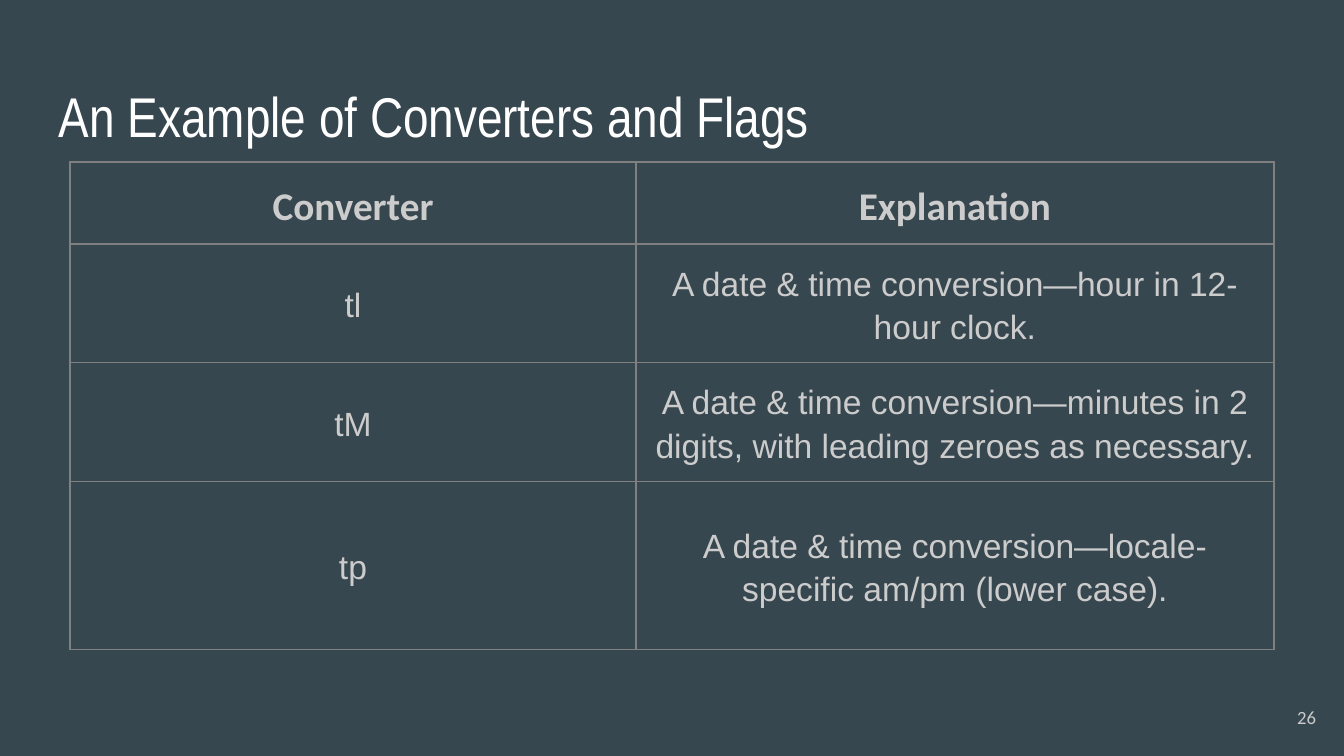
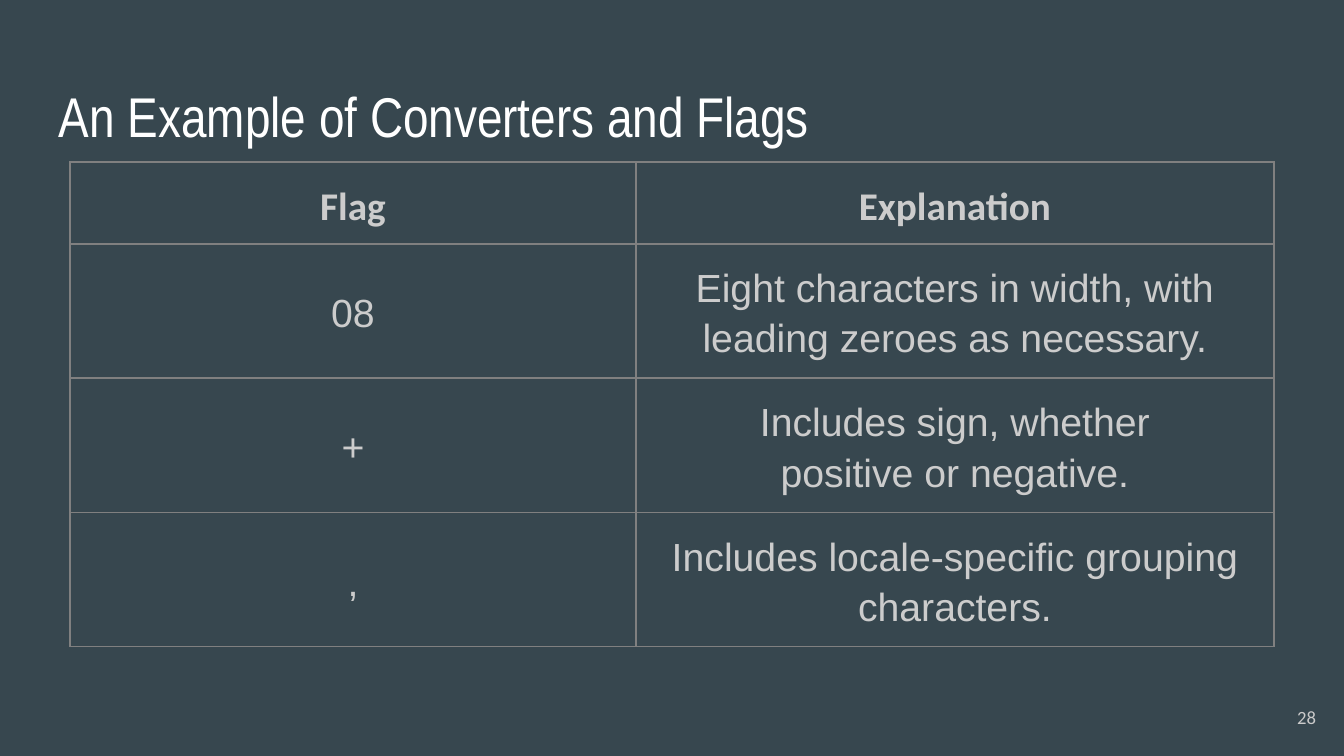
from pptx import Presentation
from pptx.dml.color import RGBColor as RGB
from pptx.enum.text import MSO_ANCHOR as Anchor, MSO_AUTO_SIZE as Auto, PP_ALIGN as Align
from pptx.oxml import parse_xml
from pptx.oxml.ns import nsdecls
from pptx.util import Pt

# Content
TITLE = "An Example of Converters and Flags"
SLIDES = [
    dict(page="26", size=18, heights=[82, 113, 113, 168], rows=[
        ("Converter", "Explanation"),
        ("tl", "A date & time conversion—hour in 12-hour clock."),
        ("tM", "A date & time conversion—minutes in 2 digits, "
               "with leading zeroes as necessary."),
        ("tp", "A date & time conversion—locale-specific am/pm (lower case)."),
    ]),
    dict(page="28", size=21, heights=[82, 127, 127, 127], rows=[
        ("Flag", "Explanation"),
        ("08", "Eight characters in width, with leading zeroes as necessary."),
        ("+", "Includes sign, whether\npositive or negative."),
        (",", "Includes locale-specific grouping characters."),
    ]),
]

# Shared look, lengths in px
WIDE, HIGH = 1344, 756
SCALE = 914400 / 134.4
INSET = 13
COLS = [566, 638]
BACK, WHITE, GREY, PALE, RULE = "37474F", "FFFFFF", "CCCCCC", "CACACA", "808080"


def px(n):
    return round(n * SCALE)


def paint(fill, color):
    fill.solid()
    fill.fore_color.rgb = RGB.from_string(color)


def write(frame, text, size, font, color, bold=False, align=Align.LEFT, space=1.0):
    frame.word_wrap = True
    frame.text = text
    for para in frame.paragraphs:
        para.alignment, para.line_spacing = align, space
        for run in para.runs:
            face = run.font
            face.size, face.name, face.bold = Pt(size), font, bold
            face.color.rgb = RGB.from_string(color)


def pad(item):
    item.margin_left = item.margin_right = px(INSET)
    item.margin_top = item.margin_bottom = px(INSET)


def rule(cell):
    props = cell._tc.get_or_add_tcPr()
    for i, side in enumerate(("lnL", "lnR", "lnT", "lnB")):
        props.insert(i, parse_xml(
            f'<a:{side} {nsdecls("a")} w="{Pt(0.75)}"><a:solidFill>'
            f'<a:srgbClr val="{RULE}"/></a:solidFill></a:{side}>'))


def add_title(slide):
    title = slide.shapes.title
    title.left, title.top, title.width, title.height = map(px, (46, 69, 1252, 84))
    frame = title.text_frame
    frame.auto_size, frame.vertical_anchor = Auto.NONE, Anchor.TOP
    pad(frame)
    write(frame, TITLE, 30, "Arial Narrow", WHITE)


def add_page(slide, page):
    frame = slide.shapes.add_textbox(*map(px, (1248, 688, 81, 58))).text_frame
    frame.vertical_anchor = Anchor.MIDDLE
    pad(frame)
    write(frame, page, 10, "Calibri", PALE, align=Align.RIGHT)


def add_grid(slide, rows, heights, size):
    spot = map(px, (70, 162, sum(COLS), sum(heights)))
    grid = slide.shapes.add_table(len(rows), len(COLS), *spot).table
    grid.horz_banding = grid.first_row = False
    for col, width in zip(grid.columns, COLS):
        col.width = px(width)
    for r, texts in enumerate(rows):
        grid.rows[r].height = px(heights[r])
        head = r == 0
        for c, text in enumerate(texts):
            cell = grid.cell(r, c)
            cell.fill.background()
            cell.vertical_anchor = Anchor.MIDDLE
            pad(cell)
            rule(cell)
            write(cell.text_frame, text, 21 if head else size,
                  "Calibri" if head else "Arial", GREY, bold=head,
                  align=Align.CENTER, space=1.15)


def main():
    deck = Presentation()
    deck.slide_width, deck.slide_height = px(WIDE), px(HIGH)
    paint(deck.slide_master.background.fill, BACK)
    for data in SLIDES:
        slide = deck.slides.add_slide(deck.slide_layouts[5])
        add_title(slide)
        add_page(slide, data["page"])
        add_grid(slide, data["rows"], data["heights"], data["size"])
    deck.save("out.pptx")


if __name__ == "__main__":
    main()
